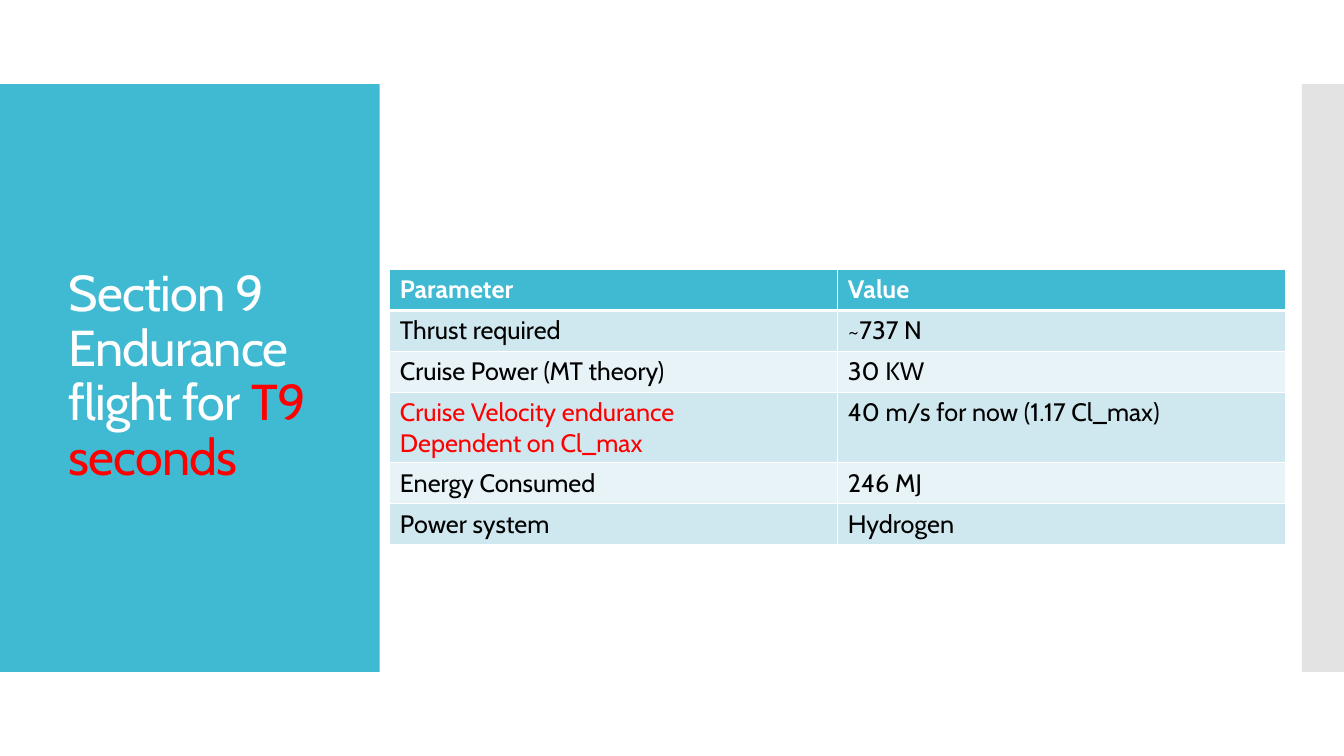
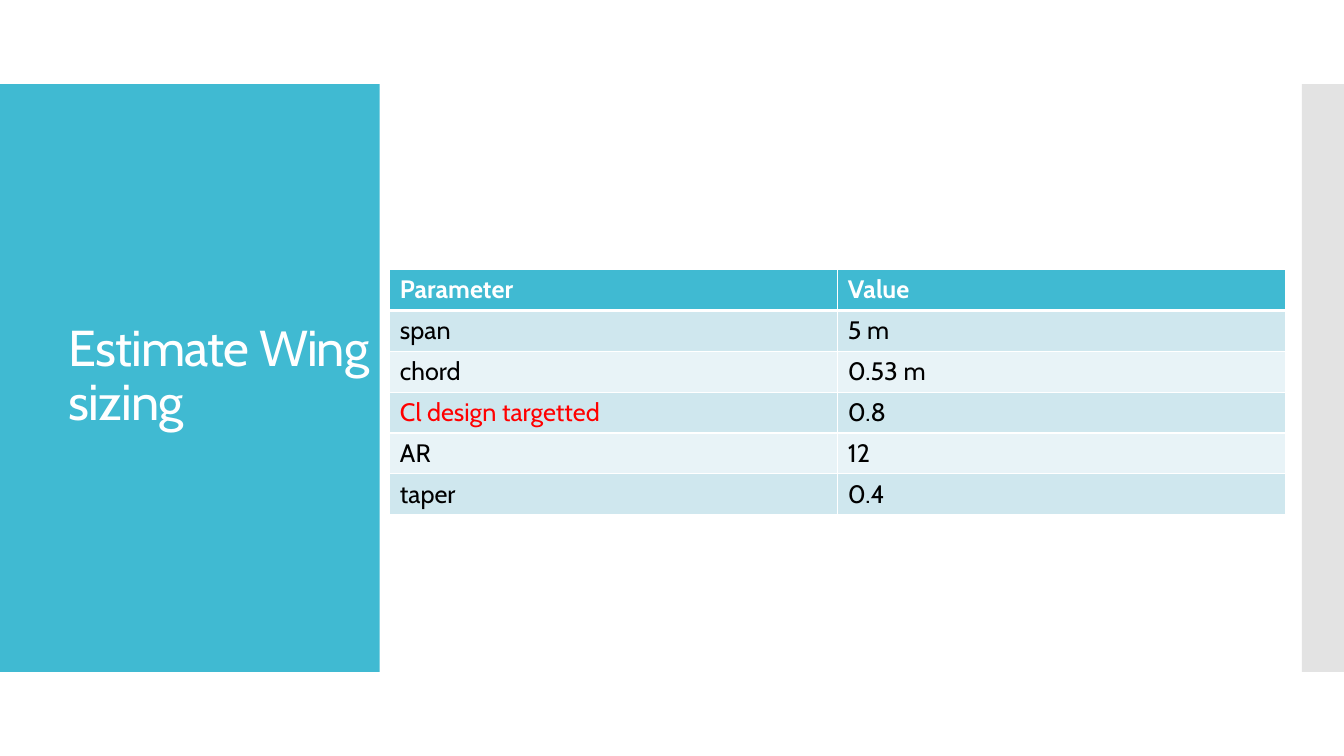
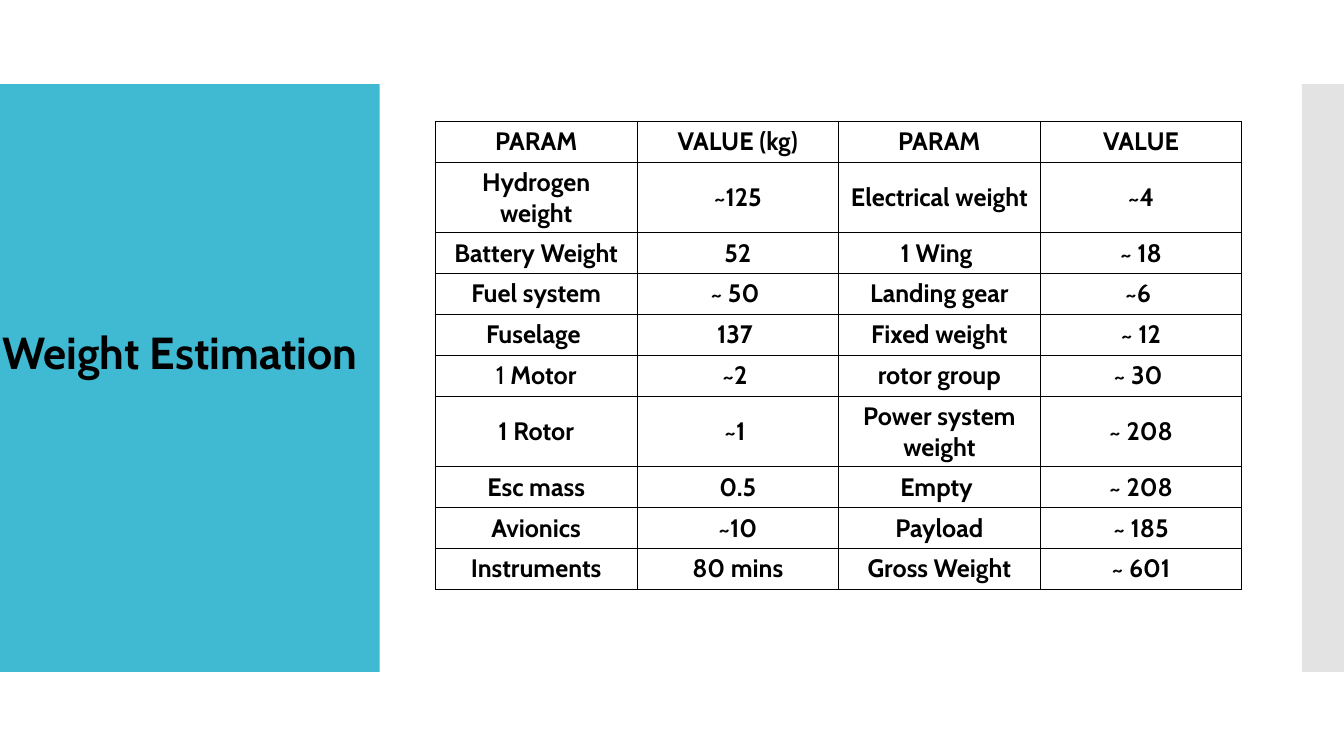
"""Build three aircraft sizing slides: endurance, wing and weight tables."""
from lxml import etree
from pptx import Presentation
from pptx.dml.color import RGBColor
from pptx.enum.text import MSO_ANCHOR, PP_ALIGN
from pptx.enum.shapes import MSO_SHAPE
from pptx.oxml.ns import qn
from pptx.util import Pt

TEAL = RGBColor(0x40, 0xBA, 0xD2)
GREY = RGBColor(0xC8, 0xC8, 0xC8)
DARK = RGBColor(0xCF, 0xE7, 0xEE)
LIGHT = RGBColor(0xE8, 0xF3, 0xF7)
WHITE = RGBColor(0xFF, 0xFF, 0xFF)
BLACK = RGBColor(0, 0, 0)
RED = RGBColor(0xFF, 0, 0)
FACE = "Cabin"
PLAIN = "{2D5ABB26-0587-4C30-8999-92F81FD0307C}"


def style(para, size, color, bold=False):
    """Set the font of a whole paragraph."""
    font = para.font
    font.name, font.size, font.bold = FACE, Pt(size), bold
    font.color.rgb = color


def edge(cell, color, **widths):
    """Draw the borders of a cell, with widths in points by side."""
    props = cell._tc.get_or_add_tcPr()
    for side, width in widths.items():
        line = etree.SubElement(props, qn(f"a:ln{side}"), w=str(Pt(width)))
        fill = etree.SubElement(line, qn("a:solidFill"))
        etree.SubElement(fill, qn("a:srgbClr"), val=str(color))


deck = Presentation()
deck.slide_width, deck.slide_height = Pt(960), Pt(540)

slides = []
for _ in range(3):
    slide = deck.slides.add_slide(deck.slide_layouts[6])
    slides.append(slide)
    for left, width, color in [(0, 271.2, TEAL), (930, 30, GREY)]:
        band = slide.shapes.add_shape(
            MSO_SHAPE.RECTANGLE, Pt(left), Pt(60), Pt(width), Pt(420))
        band.shadow.inherit = False
        band.fill.solid()
        band.fill.fore_color.rgb = color
        band.line.fill.background()
    tint = band._element.spPr.find(".//" + qn("a:srgbClr"))
    etree.SubElement(tint, qn("a:alpha"), val="50000")

pages = [
    ("Section 9\vEndurance flight for ", "T9 seconds", [
        ("Parameter", "Value"),
        ("Thrust required", "~737 N"),
        ("Cruise Power (MT theory)", "30 KW"),
        ("Cruise Velocity endurance\nDependent on Cl_max",
         "40 m/s for now (1.17 Cl_max)"),
        ("Energy Consumed", "246 MJ"),
        ("Power system", "Hydrogen"),
    ]),
    ("Estimate Wing sizing", "", [
        ("Parameter", "Value"),
        ("span", "5 m"),
        ("chord", "0.53 m"),
        ("Cl design targetted", "0.8"),
        ("AR", "12"),
        ("taper", "0.4"),
    ]),
]

for slide, (title, accent, rows) in zip(slides, pages):
    box = slide.shapes.add_textbox(Pt(42), Pt(88.5), Pt(232), Pt(362))
    frame = box.text_frame
    frame.word_wrap = True
    frame.vertical_anchor = MSO_ANCHOR.MIDDLE
    para = frame.paragraphs[0]
    para.text = title
    para.line_spacing = 0.9
    style(para, 36, WHITE)
    if accent:
        run = para.add_run()
        run.text = accent
        run.font.color.rgb = RED
    for run in para.runs:
        run._r.get_or_add_rPr().set("spc", "-60")

    table = slide.shapes.add_table(
        len(rows), 2, Pt(278.5), Pt(192.5), Pt(640), Pt(29.2 * len(rows))).table
    table._tbl.tblPr[0].text = PLAIN
    for i, row in enumerate(rows):
        for j, words in enumerate(row):
            cell = table.cell(i, j)
            cell.text = words
            edge(cell, WHITE, L=1, R=1, T=3 if i == 1 else 1, B=3 if i == 0 else 1)
            cell.fill.solid()
            cell.fill.fore_color.rgb = TEAL if i == 0 else DARK if i % 2 else LIGHT
            color = WHITE if i == 0 else RED if (i, j) == (3, 0) else BLACK
            for para in cell.text_frame.paragraphs:
                style(para, 18, color, i == 0)

weights = [
    ("PARAM", "VALUE (kg)", "PARAM", "VALUE"),
    ("Hydrogen weight", "~125", "Electrical weight", "~4"),
    ("Battery Weight", "52", "1 Wing ", "~ 18"),
    ("Fuel system", "~ 50 ", "Landing gear", "~6 "),
    ("Fuselage ", "137 ", "Fixed weight", "~ 12"),
    ("1 ", "~2 ", "rotor group", "~ 30 "),
    ("1 Rotor", "~1 ", "Power system weight", "~ 208"),
    ("Esc mass", "0.5", "Empty ", "~ 208"),
    ("Avionics", "~10", "Payload", "~ 185"),
    ("Instruments", "80 mins", "Gross Weight", "~ 601"),
]
slide = slides[2]
table = slide.shapes.add_table(
    len(weights), 4, Pt(311), Pt(86.5), Pt(576), Pt(29.2 * len(weights))).table
table._tbl.tblPr[0].text = PLAIN
for i, row in enumerate(weights):
    for j, words in enumerate(row):
        cell = table.cell(i, j)
        cell.text = words
        cell.vertical_anchor = MSO_ANCHOR.MIDDLE
        edge(cell, BLACK, L=0.6, R=0.6, T=0.6, B=0.6)
        para = cell.text_frame.paragraphs[0]
        para.alignment = PP_ALIGN.CENTER
        style(para, 18, BLACK, True)
para = table.cell(5, 0).text_frame.paragraphs[0]
para.runs[0].font.bold = False
para.add_run().text = "Motor"

box = slide.shapes.add_textbox(Pt(0), Pt(228.5), Pt(257), Pt(46))
frame = box.text_frame
frame.margin_left = frame.margin_right = 0
para = frame.paragraphs[0]
para.text = "Weight Estimation"
para.alignment = PP_ALIGN.CENTER
style(para, 32, BLACK, True)

deck.save("out.pptx")
